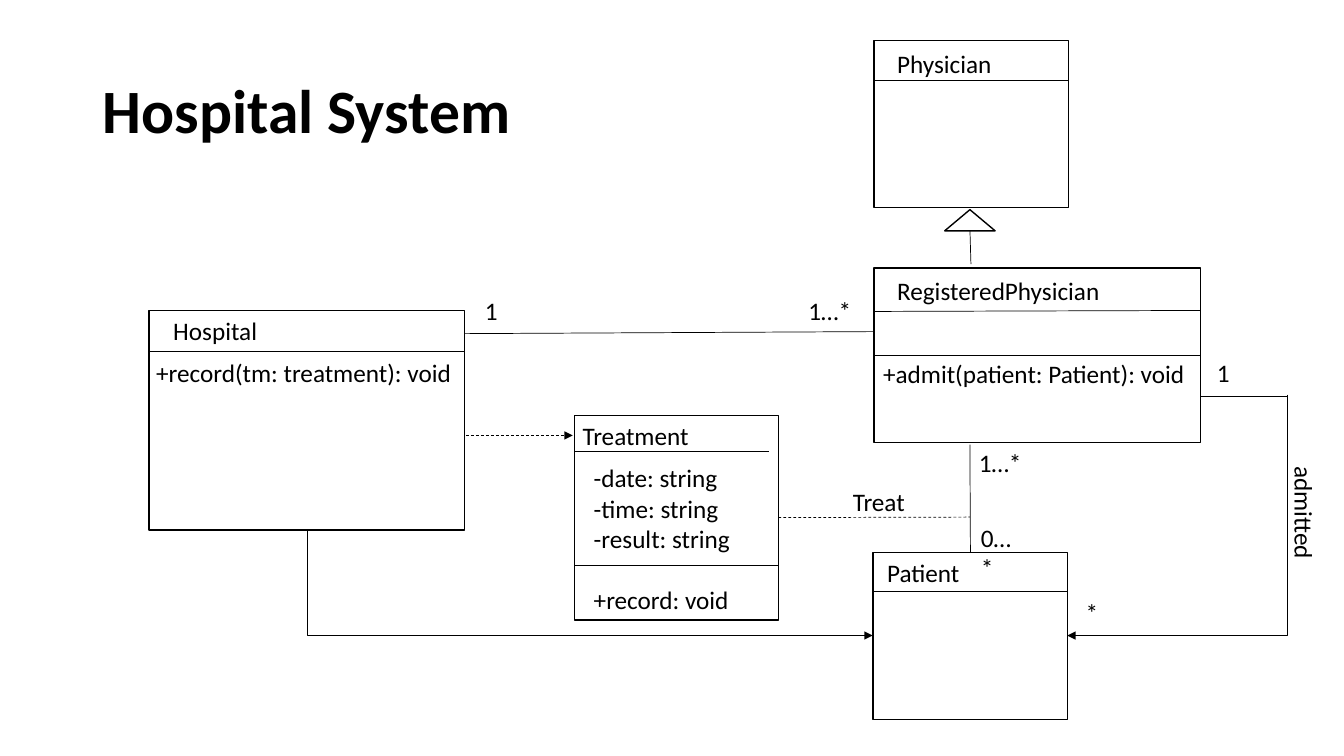
from lxml import etree
from pptx import Presentation
from pptx.dml.color import RGBColor
from pptx.enum.dml import MSO_LINE
from pptx.enum.shapes import MSO_CONNECTOR, MSO_SHAPE
from pptx.enum.text import MSO_ANCHOR, MSO_AUTO_SIZE, PP_ALIGN
from pptx.oxml.ns import qn
from pptx.util import Emu, Pt

STRAIGHT, ELBOW = MSO_CONNECTOR.STRAIGHT, MSO_CONNECTOR.ELBOW
RECTANGLE, TRIANGLE = MSO_SHAPE.RECTANGLE, MSO_SHAPE.ISOSCELES_TRIANGLE
DASH = MSO_LINE.DASH
MIDDLE, LEFT_ALIGN = MSO_ANCHOR.MIDDLE, PP_ALIGN.LEFT
GROW, FIXED = MSO_AUTO_SIZE.SHAPE_TO_FIT_TEXT, MSO_AUTO_SIZE.NONE
TOP, LEFT, BOTTOM, RIGHT = range(4)

EMU_PER_PX = 9144
TITLE_ONLY = 5
COLORS = {"ink": "000000", "paper": "FFFFFF"}
LABEL_FONT = {"name": "Calibri", "size": Pt(18), "bold": False}
TITLE_FONT = {"name": "Calibri", "size": Pt(44), "bold": True}


def px(value):
    return Emu(value * EMU_PER_PX)


def color(name):
    return RGBColor.from_string(COLORS[name])


def apply(target, values):
    for name, value in values.items():
        setattr(target, name, value)


class Diagram:
    def __init__(self, presentation):
        layout = presentation.slide_layouts[TITLE_ONLY]
        self.slide = presentation.slides.add_slide(layout)
        self.shapes = self.slide.shapes

    def add_words(self, paragraph, text, font):
        run = paragraph.add_run()
        run.text = text
        apply(run.font, font)
        run.font.color.rgb = color("ink")

    def title(self, text, frame):
        shape = self.shapes.title
        apply(shape, dict(zip(("left", "top", "width", "height"), map(px, frame))))
        apply(shape.text_frame, {"vertical_anchor": MIDDLE, "word_wrap": True, "auto_size": FIXED})
        paragraph = shape.text_frame.paragraphs[0]
        apply(paragraph, {"alignment": LEFT_ALIGN, "line_spacing": 0.9})
        self.add_words(paragraph, text, TITLE_FONT)

    def box(self, frame, kind=RECTANGLE):
        shape = self.shapes.add_shape(kind, *map(px, frame))
        shape.shadow.inherit = False
        shape.fill.solid()
        shape.fill.fore_color.rgb = color("paper")
        shape.line.color.rgb = color("ink")
        shape.line.width = Pt(1)
        return shape

    def text(self, lines, frame, rotation=0, last_gap=0):
        shape = self.shapes.add_textbox(*map(px, frame))
        shape.rotation = rotation
        text_frame = shape.text_frame
        apply(text_frame, {"word_wrap": True, "auto_size": GROW})
        for index, line in enumerate(lines):
            paragraph = text_frame.add_paragraph() if index else text_frame.paragraphs[0]
            self.add_words(paragraph, line, LABEL_FONT)
        if last_gap:
            text_frame.paragraphs[-1].space_before = Pt(last_gap)

    def line(self, begin, end, source=None, target=None, kind=STRAIGHT, dashed=False, arrow=False):
        connector = self.shapes.add_connector(kind, *map(px, begin + end))
        if source:
            connector.begin_connect(*source)
        if target:
            connector.end_connect(*target)
        connector.line.color.rgb = color("ink")
        connector.line.width = Pt(0.5)
        if dashed:
            connector.line.dash_style = DASH
        if arrow:
            outline = connector._element.spPr.find(qn("a:ln"))
            etree.SubElement(outline, qn("a:tailEnd"), type="triangle")
        etree.SubElement(connector._element.spPr, qn("a:effectLst"))
        return connector

    def down_and_across(self, begin, end, source=None, target=None):
        connector = self.line(begin, end, source, target, ELBOW, arrow=True)
        (x1, y1), (x2, y2) = begin, end
        width, height = y2 - y1, abs(x2 - x1)
        rightward = x2 > x1
        apply(connector, {
            "left": px((x1 + x2 - width) // 2),
            "top": px((y1 + y2 - height) // 2),
            "width": px(width),
            "height": px(height),
        })
        properties = connector._element.spPr
        transform = properties.find(qn("a:xfrm"))
        for flip in ("flipH", "flipV"):
            transform.attrib.pop(flip, None)
        transform.set("rot", str((270 if rightward else 90) * 60000))
        if rightward:
            transform.set("flipH", "1")
        geometry = properties.find(qn("a:prstGeom"))
        geometry.set("prst", "bentConnector2")
        for adjustments in list(geometry):
            geometry.remove(adjustments)


def main():
    presentation = Presentation()
    apply(presentation, {"slide_width": px(1333), "slide_height": px(750)})
    diagram = Diagram(presentation)
    diagram.title("Hospital System", (92, 40, 1150, 145))

    hospital = diagram.box((148, 308, 313, 218))
    registered = diagram.box((867, 266, 324, 173))
    diagram.box((867, 40, 193, 166))
    patient = diagram.box((866, 548, 193, 166))
    treatment = diagram.box((570, 412, 202, 203))

    dividers = [
        ((148, 349), (461, 349)),
        ((866, 80), (1059, 80)),
        ((866, 309), (1191, 308)),
        ((866, 587), (1059, 587)),
        ((570, 448), (763, 448)),
        ((570, 561), (772, 561)),
    ]
    for begin, end in dividers:
        diagram.line(begin, end)
    diagram.line((867, 352), (1191, 352), (registered, LEFT), (registered, RIGHT))

    diagram.line((962, 227), (963, 262))
    diagram.box((937, 208, 50, 21), TRIANGLE)
    diagram.line((461, 331), (866, 329))
    diagram.line((962, 441), (963, 548), target=(patient, TOP))
    diagram.line((773, 514), (962, 513), source=(treatment, RIGHT), dashed=True)
    diagram.line((462, 432), (568, 432), dashed=True, arrow=True)
    diagram.line((1191, 393), (1277, 393))
    diagram.down_and_across((1277, 392), (1059, 631), target=(patient, RIGHT))
    diagram.down_and_across((305, 527), (866, 631), (hospital, BOTTOM), (patient, LEFT))

    labels = [
        ("Hospital", 162, 308, 164),
        ("RegisteredPhysician", 880, 268, 310),
        ("Physician", 880, 43, 164),
        ("Patient", 870, 548, 164),
        ("Treatment", 568, 412, 164),
        ("+record(tm: treatment): void", 145, 350, 355),
        ("+admit(patient: Patient): void", 866, 351, 349),
        ("Treat", 836, 478, 91),
        ("1", 471, 288, 33),
        ("1…*", 792, 288, 76),
        ("1", 1197, 350, 33),
        ("*", 1067, 588, 34),
        ("1…*", 961, 439, 65),
    ]
    for label, left, top, width in labels:
        diagram.text([label], (left, top, width, 40))
    diagram.text(["0…*"], (963, 513, 59, 71))
    diagram.text(["admitted"], (1207, 489, 143, 71), rotation=90)
    diagram.text(
        ["-date: string", "-time: string", "-result: string", "+record: void"],
        (579, 454, 178, 162),
        last_gap=22,
    )
    presentation.save("out.pptx")


if __name__ == "__main__":
    main()
